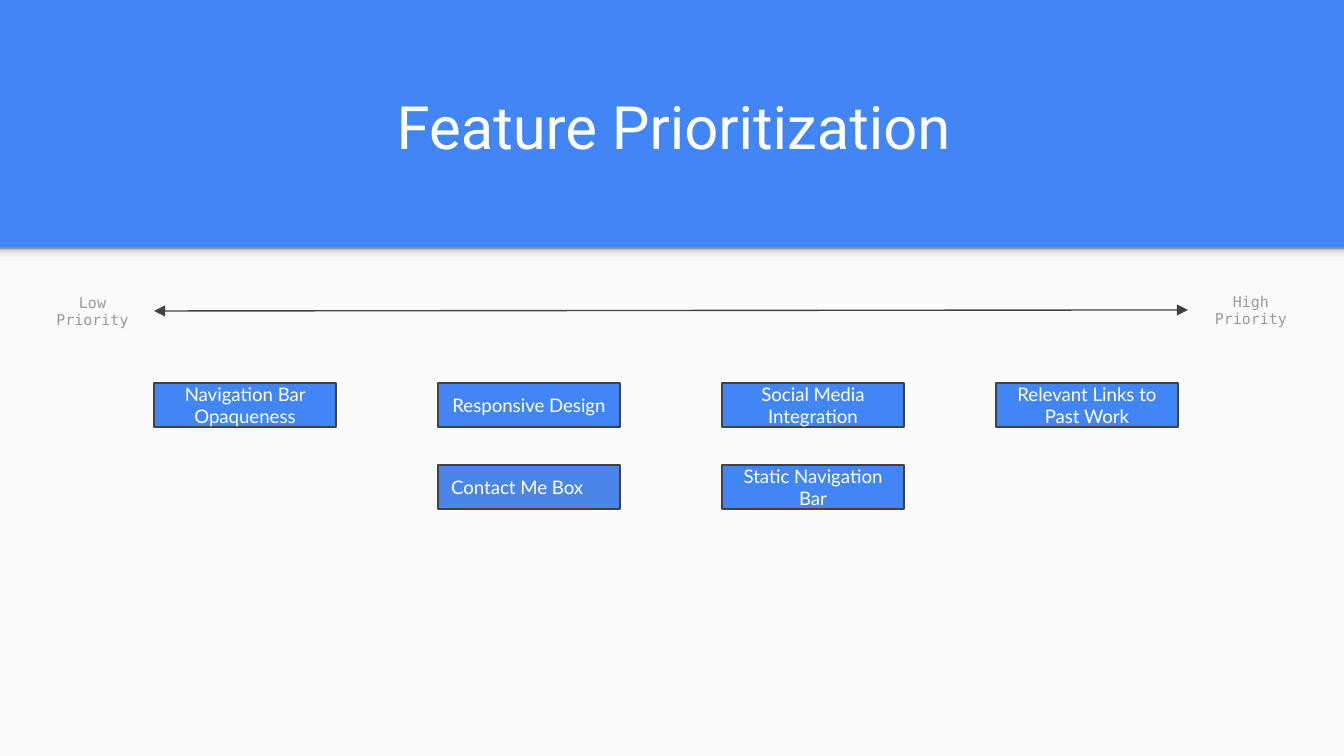
import pptx
import pptx.dml.color
import pptx.enum.shapes
import pptx.enum.text
import pptx.oxml
import pptx.oxml.ns
import pptx.util

SCALE = pptx.util.Inches(10) / 1344
COLORS = {
    "blue": "4285F4",
    "contact": "4A86E8",
    "panel": "FAFAFA",
    "dark": "424242",
    "gray": "999999",
    "white": "FFFFFF",
}
SHADOW_STOPS = [(0, "F9F9F9"), (36, "F9F9F9"), (80, "DEDEDE"), (100, "999999")]
NAMESPACE = pptx.oxml.ns.nsdecls("a")
CENTER = pptx.enum.text.PP_ALIGN.CENTER
LEFT = pptx.enum.text.PP_ALIGN.LEFT
MIDDLE = pptx.enum.text.MSO_ANCHOR.MIDDLE
BOTTOM = pptx.enum.text.MSO_ANCHOR.BOTTOM
RECTANGLE = pptx.enum.shapes.MSO_SHAPE.RECTANGLE


def emu(*lengths):
    return [pptx.util.Emu(round(length * SCALE)) for length in lengths]


def write(shape, text, size, font_name, color, align=CENTER, anchor=MIDDLE):
    frame = shape.text_frame
    frame_format = {"word_wrap": True, "vertical_anchor": anchor}
    for side in ("left", "top", "right", "bottom"):
        frame_format[f"margin_{side}"] = pptx.util.Inches(0.1)
    for name, value in frame_format.items():
        setattr(frame, name, value)
    paragraph = frame.paragraphs[0]
    paragraph.alignment = align
    run = paragraph.add_run()
    run.text = text
    for name, value in {"size": pptx.util.Pt(size), "name": font_name}.items():
        setattr(run.font, name, value)
    run.font.color.rgb = pptx.dml.color.RGBColor.from_string(COLORS[color])


presentation = pptx.Presentation()
presentation.slide_width, presentation.slide_height = emu(1344, 756)
slide = presentation.slides.add_slide(presentation.slide_layouts[6])
shapes = slide.shapes

# Blue background with a light lower panel
slide.background.fill.solid()
slide.background.fill.fore_color.rgb = pptx.dml.color.RGBColor.from_string(COLORS["blue"])
panel = shapes.add_shape(RECTANGLE, *emu(0, 248, 1344, 508))
panel.shadow.inherit = False
panel.fill.solid()
panel.fill.fore_color.rgb = pptx.dml.color.RGBColor.from_string(COLORS["panel"])
panel.line.fill.background()

# Soft edge below the header
edge = shapes.add_shape(RECTANGLE, *emu(0, 248, 1344, 16))
edge.shadow.inherit = False
edge.line.fill.background()
edge.fill.gradient()
edge.fill.gradient_angle = 90
stop_list = edge.fill._fill._gradFill.find(pptx.oxml.ns.qn("a:gsLst"))
for stop in list(stop_list):
    stop_list.remove(stop)
for position, color in SHADOW_STOPS:
    stop_list.append(pptx.oxml.parse_xml(
        f'<a:gs {NAMESPACE} pos="{position * 1000}"><a:srgbClr val="{color}"/></a:gs>'))

# Title
title = shapes.add_textbox(*emu(70, 62, 1208, 113))
write(title, "Feature Prioritization", 32, "Roboto", "white", anchor=BOTTOM)

# Ends of the priority scale
low_label = shapes.add_textbox(*emu(31, 287, 123, 48))
write(low_label, "Low Priority", 8, "DejaVu Sans Mono", "gray")
high_label = shapes.add_textbox(*emu(1188, 286, 126, 48))
write(high_label, "High Priority", 8, "DejaVu Sans Mono", "gray")

# Two-headed arrow between the labels
arrow = shapes.add_connector(
    pptx.enum.shapes.MSO_CONNECTOR.STRAIGHT, *emu(154, 311, 1188, 310))
arrow.begin_connect(low_label, 3)
arrow.end_connect(high_label, 1)
arrow.line.width = pptx.util.Pt(0.75)
arrow.line.color.rgb = pptx.dml.color.RGBColor.from_string(COLORS["dark"])
line_properties = arrow.line._get_or_add_ln()
for tag in ("headEnd", "tailEnd"):
    line_properties.append(pptx.oxml.parse_xml(f'<a:{tag} {NAMESPACE} type="triangle"/>'))
arrow._element.spPr.append(pptx.oxml.parse_xml(f"<a:effectLst {NAMESPACE}/>"))

# Feature boxes, from low to high priority
FEATURES = [
    (154, 383, "Navigation Bar Opaqueness", "blue", CENTER),
    (438, 383, "Responsive Design", "blue", CENTER),
    (438, 465, "Contact Me Box", "contact", LEFT),
    (722, 383, "Social Media Integration", "blue", CENTER),
    (722, 465, "Static Navigation Bar", "blue", CENTER),
    (996, 383, "Relevant Links to Past Work", "blue", CENTER),
]
for left, top, text, color, align in FEATURES:
    box = shapes.add_shape(RECTANGLE, *emu(left, top, 182, 44))
    box.shadow.inherit = False
    box.fill.solid()
    box.fill.fore_color.rgb = pptx.dml.color.RGBColor.from_string(COLORS[color])
    box.line.width = pptx.util.Pt(0.75)
    box.line.color.rgb = pptx.dml.color.RGBColor.from_string(COLORS["dark"])
    write(box, text, 10, "Lato", "white", align)

presentation.save("out.pptx")
